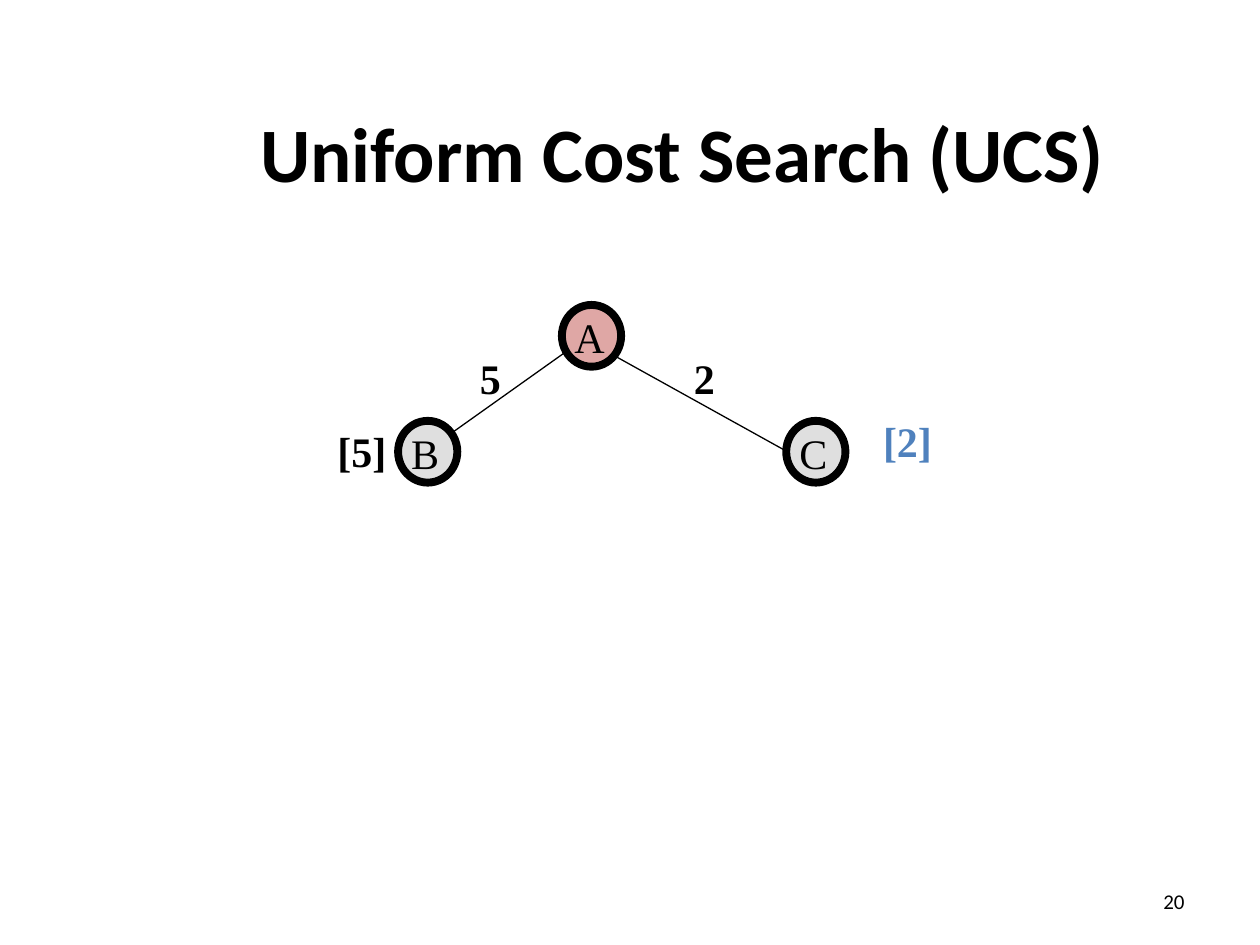
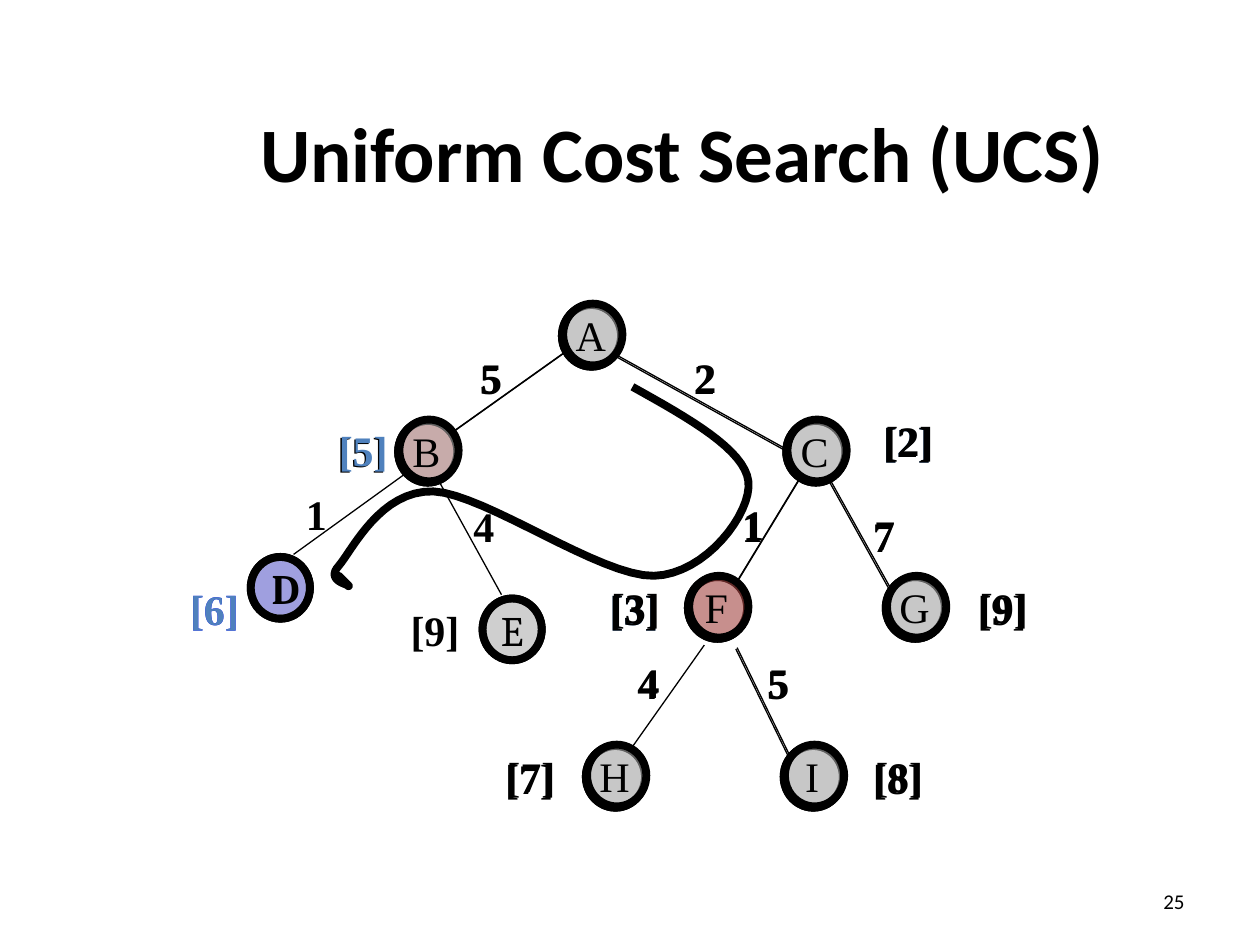
from pptx import Presentation
from pptx.dml import color
from pptx.enum import shapes, text
from pptx.oxml import ns
from pptx.util import Inches, Pt
from lxml import etree

HUES = {"black": "000000", "grey": "C0C0C0", "red": "C0504D",
        "blue": "0000FF", "sky": "4F81BD"}
SERIF, SANS, BOOK = "Times New Roman", "Calibri", "Cambria"
TITLE = "Uniform Cost Search (UCS)"
SIZE = (0.47, 0.49)

NODES = {"A": (4.46, 2.42), "B": (3.16, 3.34), "C": (6.24, 3.34),
         "G": (7.03, 4.58), "F": (5.46, 4.58), "I": (6.22, 5.92),
         "H": (4.65, 5.92), "D": (1.99, 4.42), "E": (3.83, 4.75)}
EDGES = {"B": (4.48, 2.8, 3.58, 3.44), "C": (4.87, 2.82, 6.24, 3.58),
         "F": (6.35, 3.79, 5.84, 4.63), "G": (6.58, 3.82, 7.07, 4.7),
         "H": (5.58, 5.13, 5, 5.95), "I": (5.84, 5.15, 6.26, 6.01),
         "D": (3.23, 3.75, 2.33, 4.4), "E": (3.49, 3.83, 3.98, 4.72)}
COSTS = {"B": ("5", 3.71, 2.75), "C": ("2", 5.41, 2.75),
         "F": ("1", 5.79, 3.92), "G": ("7", 6.83, 4),
         "H": ("4", 4.96, 5.17), "I": ("5", 5.99, 5.17),
         "D": ("1", 2.33, 3.83), "E": ("4", 3.66, 3.92)}
TOTALS = {"B": ("[5]", 2.58, 3.33), "C": ("[2]", 6.91, 3.25),
          "F": ("[3]", 4.74, 4.58), "G": ("[9]", 7.66, 4.58),
          "H": ("[7]", 3.91, 5.92), "I": ("[8]", 6.83, 5.92),
          "D": ("[6]", 1.41, 4.58), "E": ("[9]", 3.16, 4.75)}
ROUTE = [(5.02, 3.07),
         (5.47, 3.32), (5.91, 3.57), (5.94, 3.82),
         (5.97, 4.07), (5.6, 4.56), (5.19, 4.57),
         (4.77, 4.58), (3.85, 3.92), (3.44, 3.9),
         (3.02, 3.89), (2.8, 4.36), (2.69, 4.49),
         (2.58, 4.61), (2.77, 4.64), (2.77, 4.65),
         (2.77, 4.67), (2.69, 4.57), (2.69, 4.57),
         (2.69, 4.57), (2.76, 4.64), (2.77, 4.65)]

SLIDES = [
    ("20", [
        dict(nodes="ABC", fills={"A": "red"}, letters="ABC", edges="BC",
             costs="BC", totals="BC", inks={"C": "sky"})]),
    ("25", [
        dict(nodes="ABCGFIHDE", fills={"D": "blue"}, totals="CFD",
             inks={"C": "sky", "F": "sky", "D": "blue"}, route=ROUTE),
        dict(nodes="ABCGFIHDE", fills={"B": "red"}, inner="DE",
             edges="BFGCIDE", costs="CBFGHIDE", totals="BCGFHIDE",
             inks={"D": "sky"}),
        dict(nodes="ABCGFIH", fills={"F": "red"}, letters="ABCGFIH",
             edges="BFGCHI", costs="CBFGHI", totals="BCGFHI",
             inks={"B": "sky"}, shift=(0.01, -0.01))])]


def rgb(hue):
    return color.RGBColor.from_string(HUES[hue])


def write(frame, words, size=24, face=SERIF, bold=False, hue="black", align=None):
    para = frame.paragraphs[0]
    para.alignment = align
    run = para.add_run()
    run.text = words
    font = run.font
    font.size, font.name, font.bold = Pt(size), face, bold
    font.color.rgb = rgb(hue)


def label(slide, words, x, y, w, h=0.5, **style):
    frame = slide.shapes.add_textbox(*map(Inches, (x, y, w, h))).text_frame
    frame.word_wrap = False
    frame.auto_size = text.MSO_AUTO_SIZE.SHAPE_TO_FIT_TEXT
    write(frame, words, **style)


def stroke(shape, width):
    shape.line.color.rgb = rgb("black")
    shape.line.width = Pt(width)


def circle(slide, x, y, hue):
    oval = slide.shapes.add_shape(shapes.MSO_SHAPE.OVAL, *map(Inches, (x, y, *SIZE)))
    oval.shadow.inherit = False
    oval.fill.solid()
    oval.fill.fore_color.rgb = rgb(hue)
    tone = oval.fill._xPr.find(".//" + ns.qn("a:srgbClr"))
    etree.SubElement(tone, ns.qn("a:alpha"), val="50000")
    stroke(oval, 4.5)
    return oval


def edge(slide, ends):
    line = slide.shapes.add_connector(shapes.MSO_CONNECTOR.STRAIGHT, *map(Inches, ends))
    etree.SubElement(line._element.spPr, ns.qn("a:effectLst"))
    stroke(line, 0.75)


def bezier(knots, steps=16):
    for i in range(0, len(knots) - 1, 3):
        for n in range(1, steps + 1):
            t = n / steps
            parts = ((1 - t) ** 3, 3 * t * (1 - t) ** 2, 3 * t * t * (1 - t), t ** 3)
            yield tuple(Inches(sum(p * k[axis] for p, k in zip(parts, knots[i:i + 4])))
                        for axis in (0, 1))


def trace(slide, knots):
    pen = slide.shapes.build_freeform(*map(Inches, knots[0]))
    pen.add_line_segments(list(bezier(knots)), close=False)
    curve = pen.convert_to_shape()
    curve.shadow.inherit = False
    curve.fill.background()
    stroke(curve, 4.5)


def draw(slide, nodes, fills, totals, inks, letters="", inner="", edges="",
         costs="", route=None, shift=(0, 0)):
    dx, dy = shift
    for key in nodes:
        x, y = NODES[key]
        oval = circle(slide, x + dx, y + dy, fills.get(key, "grey"))
        if key in inner:
            first = key == "D"
            frame = oval.text_frame
            frame.word_wrap = False
            frame.vertical_anchor = text.MSO_ANCHOR.MIDDLE
            side = text.PP_ALIGN.LEFT if first else text.PP_ALIGN.CENTER
            write(frame, key, face=BOOK, bold=first, align=side)
        if key in letters:
            label(slide, key, x + dx, y + dy, 0.43, align=text.PP_ALIGN.CENTER)
    for key in edges:
        x1, y1, x2, y2 = EDGES[key]
        edge(slide, (x1 + dx, y1 + dy, x2 + dx, y2 + dy))
    for key in costs:
        words, x, y = COSTS[key]
        label(slide, words, x + dx, y + dy, 0.37, bold=True)
    for key in totals:
        words, x, y = TOTALS[key]
        label(slide, words, x + dx, y + dy, 0.59, bold=True, hue=inks.get(key, "black"))
    if route:
        trace(slide, route)


def start(deck, number):
    slide = deck.slides.add_slide(deck.slide_layouts[5])
    title = slide.shapes.title
    title.left, title.top, title.width, title.height = map(Inches, (1.17, 0.58, 8.5, 1.25))
    title.text_frame.vertical_anchor = text.MSO_ANCHOR.MIDDLE
    write(title.text_frame, TITLE, 44, SANS, True, align=text.PP_ALIGN.CENTER)
    foot = slide.shapes.add_textbox(*map(Inches, (7.17, 6.95, 2.33, 0.4))).text_frame
    foot.word_wrap = True
    foot.vertical_anchor = text.MSO_ANCHOR.MIDDLE
    write(foot, number, 12, SANS, align=text.PP_ALIGN.RIGHT)
    return slide


def main():
    deck = Presentation()
    deck.slide_width, deck.slide_height = Inches(10), Inches(7.5)
    for number, layers in SLIDES:
        slide = start(deck, number)
        for layer in layers:
            draw(slide, **layer)
    deck.save("out.pptx")


if __name__ == "__main__":
    main()
